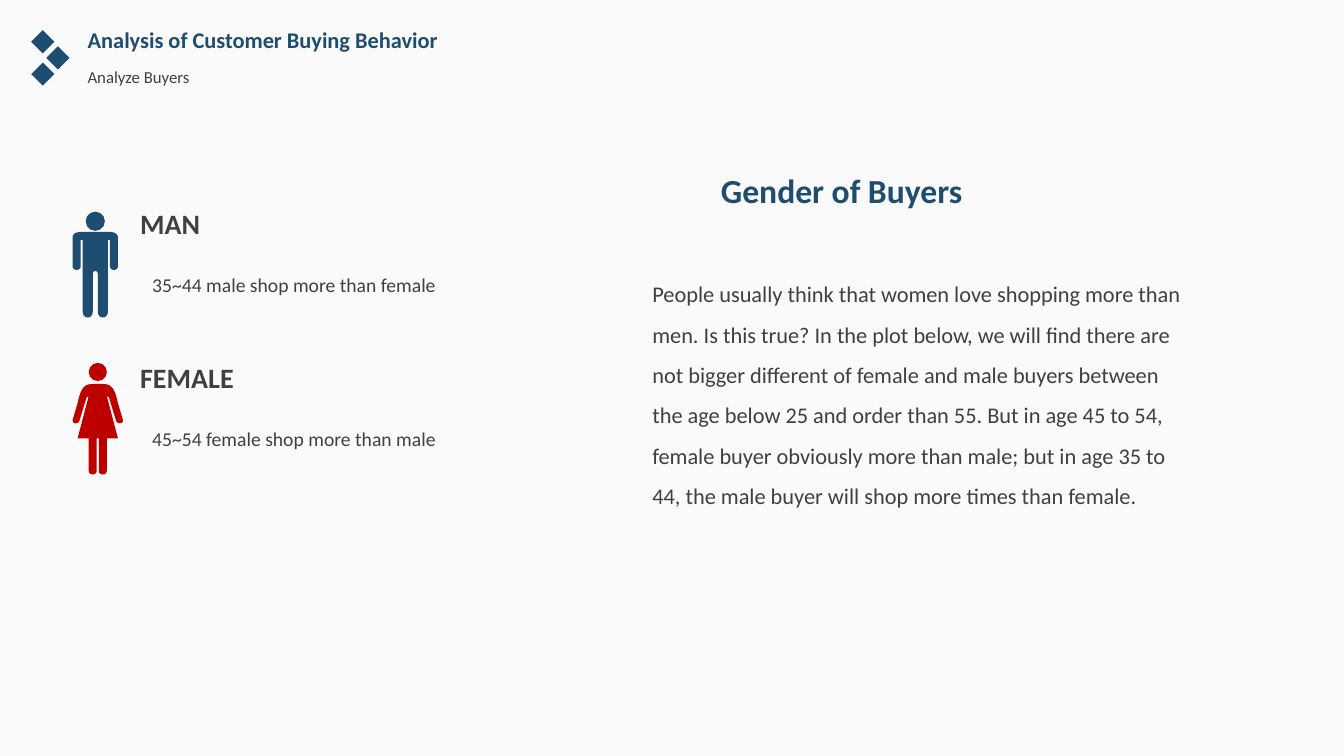
from lxml.etree import SubElement
from pptx import Presentation
from pptx.dml.color import RGBColor
from pptx.enum.shapes import MSO_SHAPE
from pptx.enum.text import MSO_ANCHOR, PP_ALIGN
from pptx.oxml.ns import qn
from pptx.util import Pt

PX = 9144
NAVY = RGBColor(0x1D, 0x4D, 0x71)
RED = RGBColor(0xBC, 0x00, 0x00)
GRAY = RGBColor(0x40, 0x40, 0x40)
PAPER = RGBColor(0xFA, 0xFA, 0xFA)

MAN_HALF = [(22, 0), (10, 0), (3, 0, 0, 2, 0, 6), (0, 34), (0, 39, 8, 39, 8, 34),
            (8, 8), (10, 8), (10, 79), (10, 87, 20, 87, 20, 79), (20, 42),
            (20, 40, 21, 39, 22, 39)]
WOMAN_HALF = [(25, 1), (20, 1), (11, 1, 8, 6, 5, 20), (0, 37), (0, 41, 6, 41, 7, 37),
              (14, 14), (16, 13), (5, 55), (16, 55), (16, 87),
              (16, 92, 24, 92, 24, 87), (24, 55), (25, 55)]


def place(sp, x, y, w, h):
    """Move and size a shape in px."""
    sp.left, sp.top, sp.width, sp.height = (v * PX for v in (x, y, w, h))


def paint(sp, color):
    """Fill a shape without outline or shadow."""
    sp.fill.solid()
    sp.fill.fore_color.rgb = color
    sp.line.fill.background()
    sp.shadow.inherit = False


def add_preset(s, kind, x, y, w, h, color):
    """Add a filled preset shape."""
    paint(s.shapes.add_shape(kind, x * PX, y * PX, w * PX, h * PX), color)


def write(sp, text, size, color, bold=False, inset=(0, 0), spacing=1.0,
          align=PP_ALIGN.LEFT):
    """Put one formatted paragraph in a shape."""
    tf = sp.text_frame
    tf.text = text
    tf.word_wrap = True
    tf.vertical_anchor = MSO_ANCHOR.TOP
    tf.margin_left = tf.margin_right = inset[0] * PX
    tf.margin_top = tf.margin_bottom = inset[1] * PX
    p = tf.paragraphs[0]
    p.alignment = align
    p.line_spacing = spacing
    p.space_before = Pt(0)
    font = p.runs[0].font
    font.name, font.size, font.bold = "Calibri", Pt(size), bold
    font.color.rgb = color


def add_text(s, x, y, w, h, *args, **style):
    """Add a text box in px."""
    sp = s.shapes.add_textbox(x * PX, y * PX, w * PX, h * PX)
    write(sp, *args, **style)


def trace(steps):
    """Turn line and cubic curve steps into points."""
    points = [steps[0]]
    for step in steps[1:]:
        if len(step) == 2:
            points.append(step)
            continue
        ends = [points[-1], step[:2], step[2:4], step[4:]]
        for i in range(1, 13):
            t = i / 12
            weights = ((1 - t) ** 3, 3 * t * (1 - t) ** 2, 3 * t * t * (1 - t), t ** 3)
            points.append(tuple(sum(k * e[axis] for k, e in zip(weights, ends))
                                for axis in (0, 1)))
    return points


def add_body(s, x, y, w, half, color):
    """Draw a symmetric body from its left half."""
    left = trace(half)
    outline = left + [(w - px, py) for px, py in reversed(left)]
    points = [(round((x + px) * PX), round((y + py) * PX)) for px, py in outline]
    builder = s.shapes.build_freeform(*points[0])
    builder.add_line_segments(points[1:], close=True)
    paint(builder.convert_to_shape(), color)


def add_header(s, x, y):
    """Place the diamonds, the title and the subtitle."""
    for dx, dy in ((0, 9), (0, 41), (15, 25)):
        add_preset(s, MSO_SHAPE.DIAMOND, x + dx, y + dy, 23, 23, NAVY)
    place(s.shapes.title, x + 46, y, 498, 37)
    write(s.shapes.title, "Analysis of Customer Buying Behavior", 16, NAVY,
          bold=True, inset=(10, 5))
    add_text(s, x + 46, y + 40, 254, 30, "Analyze Buyers", 12, GRAY,
             inset=(10, 5), align=PP_ALIGN.JUSTIFY)


def add_buyer(s, x, y, w, head, half, color, label, label_dy, fact):
    """Place a figure with its label and fact."""
    add_preset(s, MSO_SHAPE.OVAL, x + (w - head) // 2, y, head, head, color)
    add_body(s, x, y + 20, w, half, color)
    add_text(s, x + 67, y + label_dy, 192, 34, label, 20, GRAY, bold=True)
    add_text(s, x + 67, y + label_dy + 48, 410, 47, fact, 14, GRAY,
             inset=(12, 6), spacing=1.5)


def add_story(s, x, y, w):
    """Place the heading and the explanation."""
    add_text(s, x + 80, y, 401, 40, "Gender of Buyers", 24, NAVY, bold=True)
    sp = s.placeholders[1]
    place(sp, x, y + 90, w, 295)
    write(sp, "People usually think that women love shopping more than men. "
          "Is this true? In the plot below, we will find there are not bigger "
          "different of female and male buyers between the age below 25 and order "
          "than 55. But in age 45 to 54, female buyer obviously more than male; "
          "but in age 35 to 44, the male buyer will shop more times than female.",
          16, GRAY, inset=(12, 6), spacing=1.5)
    pPr = sp.text_frame.paragraphs[0]._p.get_or_add_pPr()
    pPr.set("marL", "0")
    pPr.set("indent", "0")
    SubElement(pPr, qn("a:buNone"))


def main():
    """Build and save the slide."""
    prs = Presentation()
    prs.slide_width, prs.slide_height = 1333 * PX, 750 * PX
    s = prs.slides.add_slide(prs.slide_layouts[1])
    s.background.fill.solid()
    s.background.fill.fore_color.rgb = PAPER
    add_header(s, 31, 21)
    add_buyer(s, 72, 210, 45, 19, MAN_HALF, NAVY, "MAN", -5,
              "35~44 male shop more than female")
    add_buyer(s, 72, 360, 50, 18, WOMAN_HALF, RED, "FEMALE", -2,
              "45~54 female shop more than male")
    add_story(s, 635, 169, 561)
    prs.save("out.pptx")


if __name__ == "__main__":
    main()
